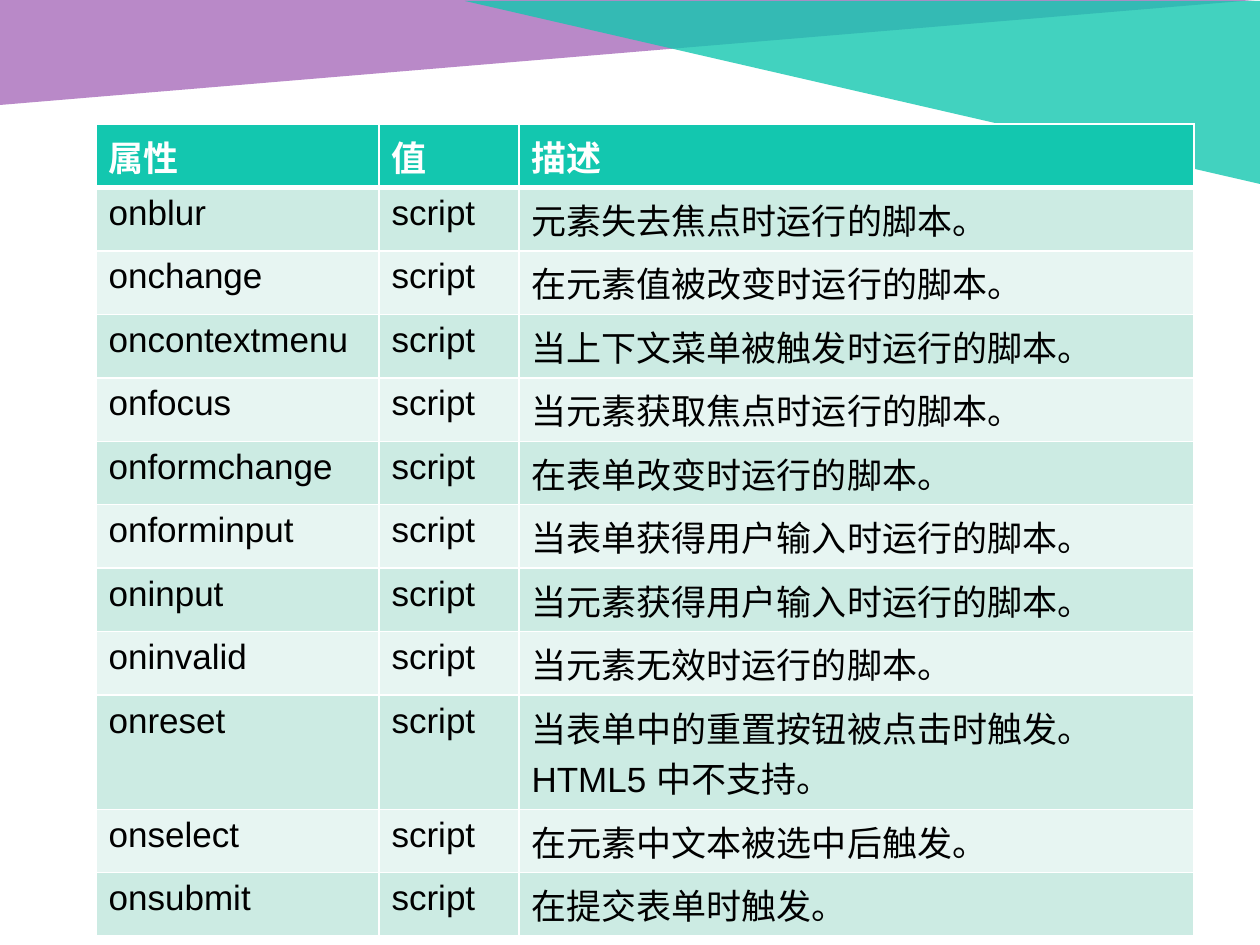
"""Build a slide listing HTML form event attributes in a table."""
from dataclasses import dataclass

from lxml.etree import SubElement
from pptx import Presentation
from pptx.dml.color import RGBColor
from pptx.enum.shapes import MSO_SHAPE
from pptx.oxml.ns import qn
from pptx.util import Emu, Pt

EMU_PER_PX = 914400 / 126
TEAL, PURPLE, WHITE, BLACK = "13C7AF", "A86CBB", "FFFFFF", "000000"
BANDS = ("CCEBE3", "E7F5F2")
COLUMNS = (283, 140, 675)
ROW_HEIGHT = 53
HEADER = ("属性", "值", "描述")
EVENTS = (
    ("onblur", "元素失去焦点时运行的脚本。"),
    ("onchange", "在元素值被改变时运行的脚本。"),
    ("oncontextmenu", "当上下文菜单被触发时运行的脚本。"),
    ("onfocus", "当元素获取焦点时运行的脚本。"),
    ("onformchange", "在表单改变时运行的脚本。"),
    ("onforminput", "当表单获得用户输入时运行的脚本。"),
    ("oninput", "当元素获得用户输入时运行的脚本。"),
    ("oninvalid", "当元素无效时运行的脚本。"),
    ("onreset", "当表单中的重置按钮被点击时触发。HTML5 中不支持。"),
    ("onselect", "在元素中文本被选中后触发。"),
    ("onsubmit", "在提交表单时触发。"),
)


@dataclass
class Triangle:
    x: int
    y: int
    w: int
    h: int
    color: str
    flips: tuple[str, ...]


@dataclass
class CellStyle:
    fill: str
    color: str
    bold: bool
    top: int
    bottom: int


TRIANGLES = (
    Triangle(0, 0, 1255, 105, PURPLE, ("flipV",)),
    Triangle(465, 1, 795, 183, TEAL, ("flipH", "flipV")),
)


def px(n: int) -> Emu:
    return Emu(round(n * EMU_PER_PX))


def rgb(color: str) -> RGBColor:
    return RGBColor.from_string(color)


def draw_triangle(slide, t: Triangle) -> None:
    sp = slide.shapes.add_shape(
        MSO_SHAPE.RIGHT_TRIANGLE, px(t.x), px(t.y), px(t.w), px(t.h))
    sp.shadow.inherit = False
    sp.line.fill.background()
    sp.fill.solid()
    sp.fill.fore_color.rgb = rgb(t.color)
    sp_pr = sp._element.spPr
    for flip in t.flips:
        sp_pr.find(qn("a:xfrm")).set(flip, "1")
    clr = sp_pr.find(qn("a:solidFill")).find(qn("a:srgbClr"))
    SubElement(clr, qn("a:alpha"), val="80000")


def set_borders(cell, style: CellStyle) -> None:
    tc_pr = cell._tc.get_or_add_tcPr()
    widths = {"L": 1, "R": 1, "T": style.top, "B": style.bottom}
    for side, width in widths.items():
        ln = SubElement(tc_pr, qn(f"a:ln{side}"), w=str(Pt(width)))
        fill = SubElement(ln, qn("a:solidFill"))
        SubElement(fill, qn("a:srgbClr"), val=WHITE)


def fill_cell(cell, text: str, style: CellStyle) -> None:
    set_borders(cell, style)
    cell.fill.solid()
    cell.fill.fore_color.rgb = rgb(style.fill)
    p = cell.text_frame.paragraphs[0]
    p.text = text
    p.font.name = "Arial"
    p.font.size = Pt(20)
    p.font.bold = style.bold
    p.font.color.rgb = rgb(style.color)


def row_style(i: int) -> CellStyle:
    if i == 0:
        return CellStyle(TEAL, WHITE, True, 1, 3)
    return CellStyle(BANDS[(i - 1) % 2], BLACK, False, 3 if i == 1 else 1, 1)


def draw_table(slide, x: int, y: int) -> None:
    rows = [HEADER] + [(name, "script", text) for name, text in EVENTS]
    table = slide.shapes.add_table(
        len(rows), len(COLUMNS), px(x), px(y),
        px(sum(COLUMNS)), px(ROW_HEIGHT * len(rows))).table
    for column, width in zip(table.columns, COLUMNS):
        column.width = px(width)
    for i, texts in enumerate(rows):
        table.rows[i].height = px(ROW_HEIGHT)
        for j, text in enumerate(texts):
            fill_cell(table.cell(i, j), text, row_style(i))


def main() -> None:
    prs = Presentation()
    prs.slide_width, prs.slide_height = px(1260), px(945)
    slide = prs.slides.add_slide(prs.slide_layouts[6])
    for triangle in TRIANGLES:
        draw_triangle(slide, triangle)
    draw_table(slide, 96, 124)
    prs.save("out.pptx")


if __name__ == "__main__":
    main()
